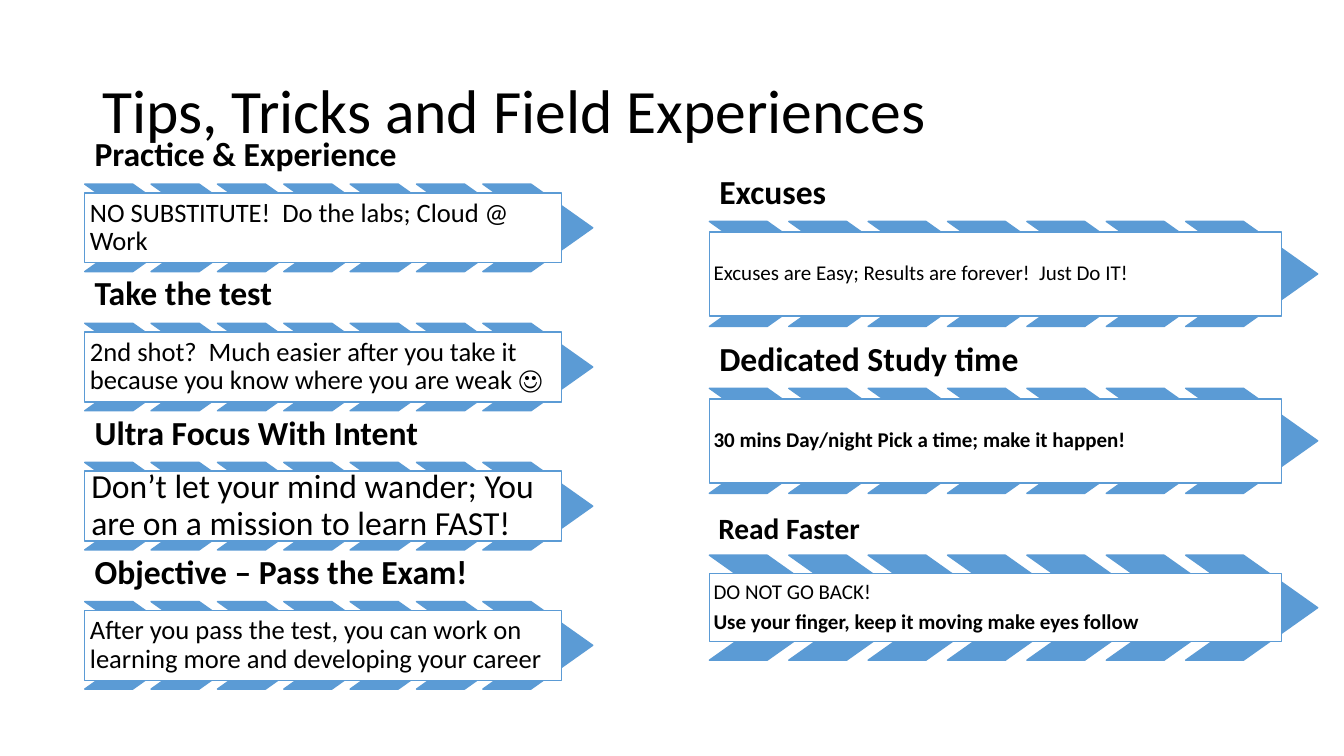
import pptx
import pptx.dml.color
import pptx.enum.shapes
import pptx.enum.text
import pptx.util

Pt = pptx.util.Pt
Anchor = pptx.enum.text.MSO_ANCHOR
Shape = pptx.enum.shapes.MSO_SHAPE

BLACK = pptx.dml.color.RGBColor(0x00, 0x00, 0x00)
WHITE = pptx.dml.color.RGBColor(0xFF, 0xFF, 0xFF)
BLUE = pptx.dml.color.RGBColor(0x5B, 0x9B, 0xD5)

CHEVRON_COUNT = 7


class SlideBuilder:
    """Holds the style and the slide being filled."""

    font = "Calibri"
    line_spacing = 0.9
    line_width = 1
    chevron_depth = 0.706

    def __init__(self, page):
        self.page = page

    def add_lines(self, frame, lines, size, anchor, inset=None):
        """Fill a text frame; each line is a (text, bold) pair."""
        frame.word_wrap = True
        frame.vertical_anchor = anchor
        if inset is not None:
            frame.margin_left = frame.margin_right = Pt(inset)
            frame.margin_top = frame.margin_bottom = Pt(inset)
        for index, (text, bold) in enumerate(lines):
            para = frame.add_paragraph() if index else frame.paragraphs[0]
            para.alignment = pptx.enum.text.PP_ALIGN.LEFT
            para.line_spacing = self.line_spacing
            if index < len(lines) - 1:
                para.space_after = Pt(0.35 * size)
            span = para.add_run()
            span.text = text
            span.font.name = self.font
            span.font.size = Pt(size)
            span.font.bold = bold
            span.font.color.rgb = BLACK

    def label(self, left, top, width, height, text, size, bold, anchor, inset=None):
        box = self.page.shapes.add_textbox(Pt(left), Pt(top), Pt(width), Pt(height))
        self.add_lines(box.text_frame, [(text, bold)], size, anchor, inset)

    def panel(self, kind, left, top, width, height, fill):
        shape = self.page.shapes.add_shape(kind, Pt(left), Pt(top), Pt(width), Pt(height))
        shape.shadow.inherit = False
        shape.fill.solid()
        shape.fill.fore_color.rgb = fill
        shape.line.color.rgb = BLUE
        shape.line.width = Pt(self.line_width)
        return shape

    def chevron_row(self, left, top, width, height, step):
        for index in range(CHEVRON_COUNT):
            chevron = self.panel(Shape.CHEVRON, left + index * step, top, width, height, BLUE)
            chevron.adjustments[0] = self.chevron_depth

    def tip_column(self, tips, left, top, pitch, head, chevron, step, box_width):
        """Stack tips: a heading above a chevron row with a centred box on it."""
        head_width, head_height = head
        chevron_width, chevron_height = chevron
        for index, tip in enumerate(tips):
            heading, head_size, head_inset, lines, size, inset, box_height = tip
            head_top = top + index * pitch
            row_top = head_top + head_height
            self.label(left, head_top, head_width, head_height, heading,
                       head_size, True, Anchor.BOTTOM, head_inset)
            self.chevron_row(left, row_top, chevron_width, chevron_height, step)
            box_top = row_top + (chevron_height - box_height) / 2
            box = self.panel(Shape.RECTANGLE, left, box_top, box_width, box_height, WHITE)
            self.add_lines(box.text_frame, lines, size, Anchor.MIDDLE, inset)


# Heading, its size and inset, then (text, bold) lines, their size, inset and box height
STUDY_TIPS = [
    ("Practice & Experience", 24, 7.2,
     [("NO SUBSTITUTE!  Do the labs; Cloud @ Work", False)], 19, 3.8, 50),
    ("Take the test", 24, 7.2,
     [("2nd shot?  Much easier after you take it because you know where you are weak ☺",
       False)], 19, 3.8, 50),
    ("Ultra Focus With Intent", 24, 7.2,
     [("Don’t let your mind wander; You are on a mission to learn FAST!", False)],
     24, 4.8, 50),
    ("Objective – Pass the Exam!", 24, 7.2,
     [("After you pass the test, you can work on learning more and developing your career",
       False)], 19, 3.8, 50),
]
HABIT_TIPS = [
    ("Excuses", 24, 7.2,
     [("Excuses are Easy; Results are forever!  Just Do IT!", False)], 15, 3, 60),
    ("Dedicated Study time", 24, 7.2,
     [("30 mins Day/night Pick a time; make it happen!", True)], 15, 3, 60),
    ("Read Faster", 21, 6.4,
     [("DO NOT GO BACK!", False),
      ("Use your finger, keep it moving make eyes follow", True)], 15, 3, 48.5),
]


def main():
    deck = pptx.Presentation()
    deck.slide_width = Pt(960)
    deck.slide_height = Pt(540)
    builder = SlideBuilder(deck.slides.add_slide(deck.slide_layouts[6]))

    # Title
    builder.label(66, 28.75, 828, 104.4, "Tips, Tricks and Field Experiences",
                  44, False, Anchor.MIDDLE)

    # Left and right columns of tips
    builder.tip_column(STUDY_TIPS, left=60.5, top=101, pitch=99.4, head=(336, 30.5),
                       chevron=(78.5, 62.5), step=47.4, box_width=340.5)
    builder.tip_column(HABIT_TIPS, left=506.7, top=121.5, pitch=119.2, head=(403.5, 36.7),
                       chevron=(94.3, 75), step=56.7, box_width=408.8)

    deck.save("out.pptx")


if __name__ == "__main__":
    main()
